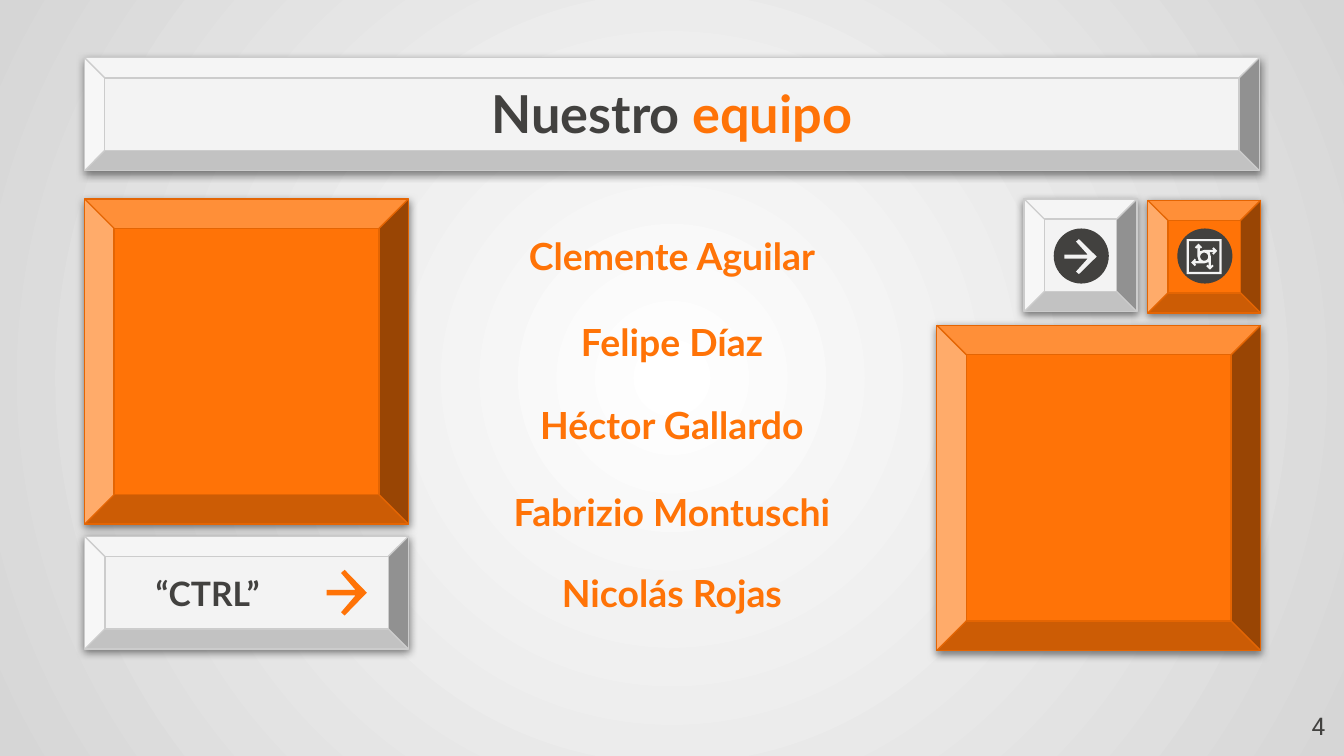
import math
import pptx
import pptx.dml.color
import pptx.enum.shapes
import pptx.enum.text
import pptx.oxml
import pptx.oxml.ns
import pptx.util

Inches, Pt = pptx.util.Inches, pptx.util.Pt
RGB = pptx.dml.color.RGBColor
SHAPE = pptx.enum.shapes.MSO_SHAPE
ALIGN = pptx.enum.text.PP_ALIGN
ANCHOR = pptx.enum.text.MSO_ANCHOR

ORANGE, ORANGE_EDGE = RGB(0xFF, 0x73, 0x07), RGB(0xE4, 0x65, 0x03)
PALE, PALE_EDGE = RGB(0xF3, 0xF3, 0xF3), RGB(0xCC, 0xCC, 0xCC)
DARK = RGB(0x42, 0x41, 0x3F)
WHITE, GREY = RGB(0xFF, 0xFF, 0xFF), RGB(0xD6, 0xD6, 0xD6)

# Content
TITLE = [("Nuestro ", DARK), ("equipo", ORANGE)]
TEAM = [  # name, vertical centre
    ("Clemente Aguilar", 1.9),
    ("Felipe Díaz", 2.54),
    ("Héctor Gallardo", 3.16),
    ("Fabrizio Montuschi", 3.81),
    ("Nicolás Rojas", 4.41),
]
KEY_LABEL = "“CTRL”"
PAGE = "4"

# Keys: left, top, width, height, fill, edge
TITLE_KEY = (0.63, 0.43, 8.74, 0.84, PALE, PALE_EDGE)
KEYS = [
    (0.63, 1.48, 2.41, 2.42, ORANGE, ORANGE_EDGE),
    (6.97, 2.42, 2.41, 2.42, ORANGE, ORANGE_EDGE),
    (8.54, 1.49, 0.84, 0.84, ORANGE, ORANGE_EDGE),
    (7.62, 1.48, 0.84, 0.84, PALE, PALE_EDGE),
    (0.63, 3.99, 2.41, 0.84, PALE, PALE_EDGE),
]
DISCS = [(7.84, 1.7), (8.76, 1.7)]
DISC_SIZE = 0.41

# Icon outlines around their own centre
ARROW = [(-0.1, -1), (-0.28, -0.86), (0.44, -0.12), (-1, -0.12), (-1, 0.12),
         (0.44, 0.12), (-0.28, 0.86), (-0.1, 1), (1, 0)]
SQUARE = [(-1, -1), (1, -1), (1, 1), (-1, 1)]
ROTOR_ARM = [(-5, 0), (-5, -7), (-6, -6), (-7, -7), (-4.3, -9.7),
             (-1.5, -7), (-2.5, -6), (-3.3, -7), (-3.3, -4)]
SHADOW = (
    '<a:effectLst %s><a:outerShdw blurRad="57150" dist="19050" dir="5400000" '
    'algn="bl" rotWithShape="0"><a:srgbClr val="000000"><a:alpha val="50000"/>'
    '</a:srgbClr></a:outerShdw></a:effectLst>' % pptx.oxml.ns.nsdecls("a"))

# Slide in 16:9
prs = pptx.Presentation()
prs.slide_width = Inches(10)
prs.slide_height = prs.slide_width * 9 // 16
s = prs.slides.add_slide(prs.slide_layouts[5])


def add_key(left, top, width, height, fill, edge):
    sp = s.shapes.add_shape(SHAPE.BEVEL, *map(Inches, (left, top, width, height)))
    sp.adjustments[0] = 0.179 if height < 1 else 0.091
    sp.fill.solid()
    sp.fill.fore_color.rgb = fill
    sp.line.color.rgb = edge
    sp.line.width = Pt(0.75)
    sp.element.spPr.append(pptx.oxml.parse_xml(SHADOW))
    return sp


def paint_flat(sp, color):
    sp.shadow.inherit = False
    sp.fill.solid()
    sp.fill.fore_color.rgb = color
    sp.line.fill.background()


def add_icon(contours, cx, cy, sx, sy, color):
    """Draw closed contours scaled by sx, sy around a centre in inches."""
    placed = [[(Inches(cx + x * sx), Inches(cy + y * sy)) for x, y in c]
              for c in contours]
    fb = s.shapes.build_freeform(*placed[0][0])
    for i, points in enumerate(placed):
        if i:
            fb.move_to(*points[0])
        fb.add_line_segments(points[1:], close=True)
    paint_flat(fb.convert_to_shape(), color)


def set_text(sp, runs, size, box, font="Lato", bold=True, align=ALIGN.CENTER,
             anchor=ANCHOR.MIDDLE):
    sp.left, sp.top, sp.width, sp.height = map(Inches, box)
    tf = sp.text_frame
    frame = {"word_wrap": True, "vertical_anchor": anchor,
             "auto_size": pptx.enum.text.MSO_AUTO_SIZE.NONE}
    frame.update({"margin_" + side: Inches(0.1)
                  for side in ("left", "top", "right", "bottom")})
    for name, value in frame.items():
        setattr(tf, name, value)
    p = tf.paragraphs[0]
    p.alignment = align
    for text, color in runs:
        r = p.add_run()
        r.text = text
        for name, value in {"name": font, "size": Pt(size), "bold": bold}.items():
            setattr(r.font, name, value)
        r.font.color.rgb = color


def add_text(*args, **kwargs):
    set_text(s.shapes.add_textbox(0, 0, 0, 0), *args, **kwargs)


# Background: radial gradient from the centre
fill = s.background.fill
fill.gradient()
for stop, color, position in zip(fill.gradient_stops, (WHITE, GREY), (0, 1)):
    stop.color.rgb = color
    stop.position = position
lin = next(s.background.element.iter(pptx.oxml.ns.qn("a:lin")))
lin.getparent().replace(lin, pptx.oxml.parse_xml(
    '<a:path %s path="circle"><a:fillToRect l="50000" t="50000" r="50000" '
    'b="50000"/></a:path>' % pptx.oxml.ns.nsdecls("a")))

# Title on its key
title = s.shapes.title
title.element.addprevious(add_key(*TITLE_KEY).element)
set_text(title, TITLE, 28, (0.79, 0.59, 8.42, 0.5))

# Keys and discs
for key in KEYS:
    add_key(*key)
for left, top in DISCS:
    disc = s.shapes.add_shape(SHAPE.OVAL, *map(Inches, (left, top, DISC_SIZE, DISC_SIZE)))
    paint_flat(disc, DARK)

# Arrows
add_icon([ARROW], 8.04, 1.91, 0.12, 0.13, PALE)
add_icon([ARROW], 2.58, 4.41, 0.15, 0.17, ORANGE)

# Framed rotor: one arm turned four times around a round hole
inner = [(x * 0.88, y * 0.88) for x, y in reversed(SQUARE)]
add_icon([SQUARE, inner], 8.96, 1.91, 0.13, 0.13, PALE)
rotor, arm = [], ROTOR_ARM
for _ in range(4):
    rotor += arm
    arm = [(-y, x) for x, y in arm]
hole = [(3 * math.cos(a), -3 * math.sin(a))
        for a in (math.tau * i / 24 for i in range(24))]
add_icon([rotor, hole], 8.96, 1.91, 0.01, 0.01, PALE)

# Names, key label and page number
for name, centre in TEAM:
    add_text([(name, ORANGE)], 20, (3.29, centre - 0.3, 3.42, 0.6))
add_text([(KEY_LABEL, DARK)], 18, (0.89, 4.22, 1.31, 0.38))
add_text([(PAGE, DARK)], 13, (9.36, 5.19, 0.6, 0.43), font="Roboto", bold=False,
         align=ALIGN.RIGHT, anchor=ANCHOR.TOP)

prs.save("out.pptx")
